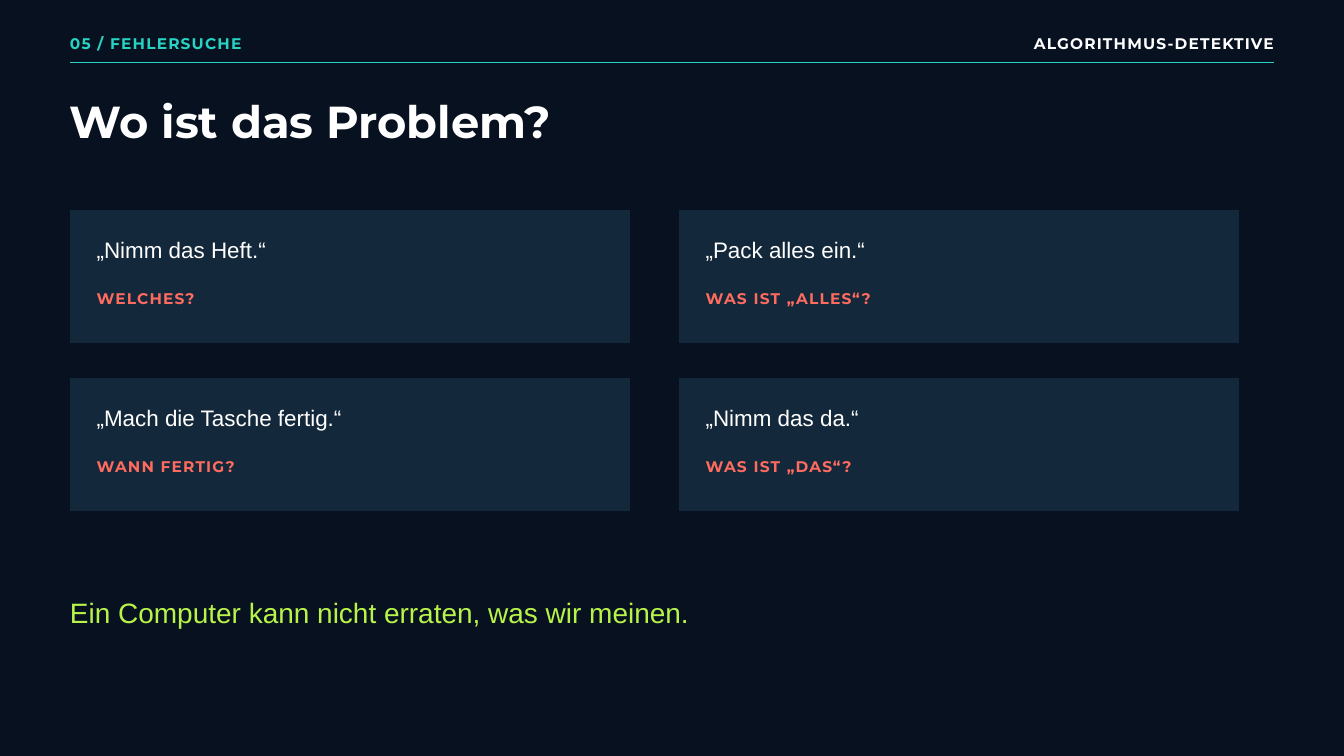
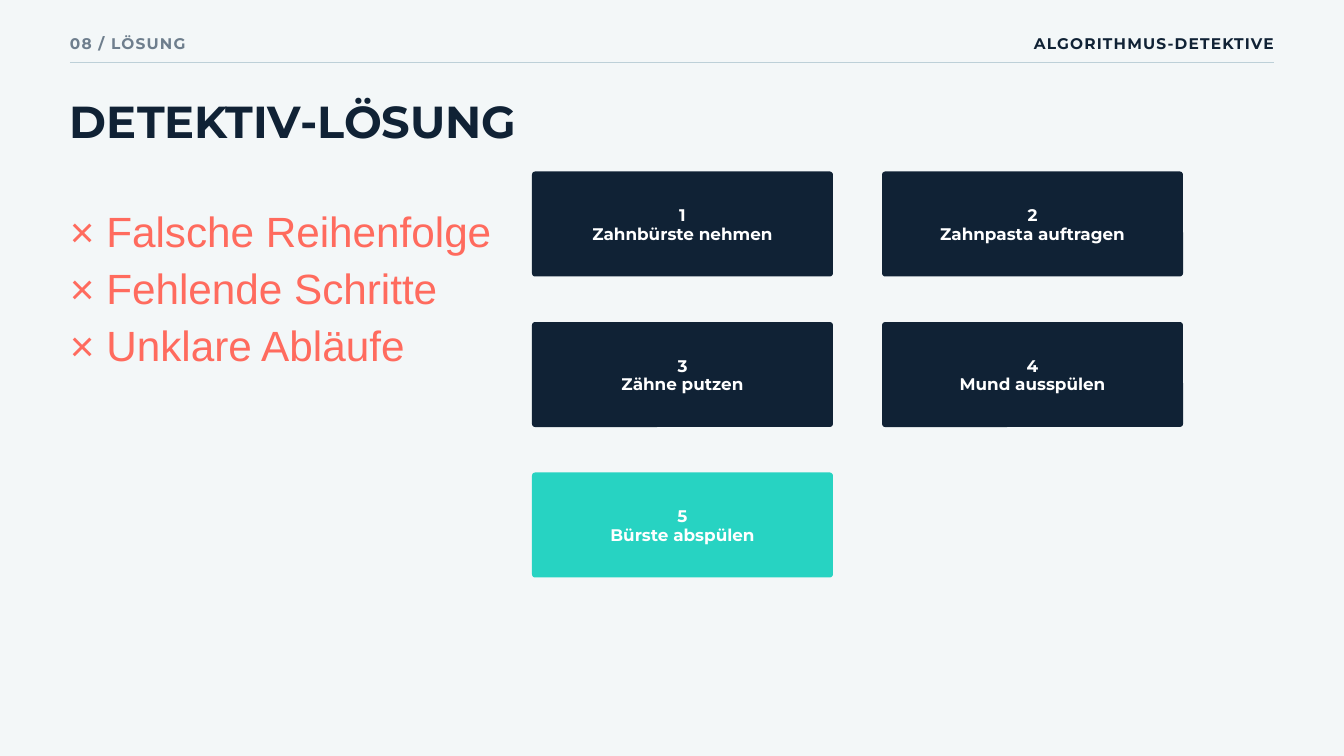
from lxml.etree import SubElement
from pptx import Presentation
from pptx.dml.color import RGBColor
from pptx.enum.shapes import MSO_CONNECTOR, MSO_SHAPE
from pptx.enum.text import MSO_ANCHOR, MSO_AUTO_SIZE, PP_ALIGN
from pptx.oxml.ns import qn
from pptx.util import Pt

NIGHT, MIST, NAVY, PANEL = "07111F", "F3F7F8", "102235", "13283A"
TEAL, CORAL, LIME, WHITE = "27D3C2", "FF6B5E", "B8F34A", "FFFFFF"
GREY, PALE = "6E7E8D", "BDD0D8"

# font, size, line height, bold, letter spacing (all in points)
TITLE = "Montserrat", 48, 49, True, 0
LABEL = "Montserrat", 16.5, 23.1, True, 1.3
STEP = "Montserrat", 18, 19.8, True, 0
QUOTE = "Arial", 24, 31.2, False, 0
CLAIM = "Arial", 30, 39, False, 0
ERROR = "Arial", 45.3, 61.2, False, 0


def px(*lengths):
    return [length * 9525 for length in lengths]


def paint(fill, color):
    fill.solid()
    fill.fore_color.rgb = RGBColor.from_string(color)


def write(frame, lines, style, color, align=PP_ALIGN.LEFT):
    """Fill a text frame with one paragraph per line, all in one style."""
    face, size, height, bold, space = style
    frame.word_wrap = True
    frame.text = "\n".join(lines)
    for para in frame.paragraphs:
        para.alignment = align
        para.line_spacing = Pt(height)
        font = para.font
        font.name, font.size, font.bold = face, Pt(size), bold
        font.color.rgb = RGBColor.from_string(color)
        if space:
            font._element.set("spc", str(round(space * 100)))


def add_text(slide, box, lines, style, color, align=PP_ALIGN.LEFT):
    frame = slide.shapes.add_textbox(*px(*box)).text_frame
    frame.margin_left = frame.margin_top = 0
    frame.margin_right = frame.margin_bottom = 0
    write(frame, lines, style, color, align)
    frame.auto_size = MSO_AUTO_SIZE.SHAPE_TO_FIT_TEXT


def add_block(slide, kind, box, color):
    shape = slide.shapes.add_shape(kind, *px(*box))
    shape.shadow.inherit = False
    paint(shape.fill, color)
    shape.line.fill.background()
    return shape


def add_rule(slide, left, top, width, color):
    right = left + width
    line = slide.shapes.add_connector(
        MSO_CONNECTOR.STRAIGHT, *px(left, top, right, top))
    paint(line.line.fill, color)
    line.line.width = Pt(1.5)
    SubElement(line._element.spPr, qn("a:effectLst"))


def add_head(slide, box, section, title, accent, ink, rule):
    left, top, width = box
    add_text(slide, (left, top, 300, 30), [section], LABEL, accent)
    add_text(slide, (left + width - 370, top, 370, 30),
             ["ALGORITHMUS-DETEKTIVE"], LABEL, ink, PP_ALIGN.RIGHT)
    add_rule(slide, left, top + 45, width, rule)
    add_text(slide, (left, top + 101, 1200, 66), [title], TITLE, ink)


def start(deck, back, *head):
    slide = deck.slides.add_slide(deck.slide_layouts[6])
    paint(slide.background.fill, back)
    add_head(slide, (100, 44, 1720), *head)
    return slide


def cells(box, pitch, items):
    """Yield the box of each item in a grid of two columns."""
    left, top, width, height = box
    for i, item in enumerate(items):
        row, col = divmod(i, 2)
        yield (left + col * pitch[0], top + row * pitch[1],
               width, height), item


def add_card(slide, box, quote, query):
    left, top, width, _ = box
    add_block(slide, MSO_SHAPE.RECTANGLE, box, PANEL)
    add_text(slide, (left + 38, top + 34, width - 90, 40),
             [quote], QUOTE, WHITE)
    add_text(slide, (left + 38, top + 109, width - 90, 29),
             [query], LABEL, CORAL)


def add_step(slide, box, number, action, color):
    step = add_block(slide, MSO_SHAPE.ROUNDED_RECTANGLE, box, color)
    step.adjustments[0] = 0.03
    frame = step.text_frame
    frame.margin_left, frame.margin_right = px(6, 6)
    frame.margin_top, frame.margin_bottom = px(9, 6)
    frame.vertical_anchor = MSO_ANCHOR.MIDDLE
    write(frame, [str(number), action], STEP, WHITE, PP_ALIGN.CENTER)


def problem(deck):
    slide = start(deck, NIGHT, "05 / FEHLERSUCHE", "Wo ist das Problem?",
                  TEAL, WHITE, TEAL)
    add_text(slide, (100, 847, 1500, 50),
             ["Ein Computer kann nicht erraten, was wir meinen."], CLAIM, LIME)
    cards = [
        ("„Nimm das Heft.“", "WELCHES?"),
        ("„Pack alles ein.“", "WAS IST „ALLES“?"),
        ("„Mach die Tasche fertig.“", "WANN FERTIG?"),
        ("„Nimm das da.“", "WAS IST „DAS“?"),
    ]
    for box, card in cells((100, 300, 800, 190), (870, 240), cards):
        add_card(slide, box, *card)


def answer(deck):
    slide = start(deck, MIST, "08 / LÖSUNG", "DETEKTIV-LÖSUNG",
                  GREY, NAVY, PALE)
    errors = ["× Falsche Reihenfolge", "× Fehlende Schritte",
              "× Unklare Abläufe"]
    add_text(slide, (100, 284, 1340, 236), errors, ERROR, CORAL)
    steps = ["Zahnbürste nehmen", "Zahnpasta auftragen", "Zähne putzen",
             "Mund ausspülen", "Bürste abspülen"]
    grid = cells((760, 245, 430, 150), (500, 215), steps)
    for number, (box, action) in enumerate(grid, 1):
        color = TEAL if number == len(steps) else NAVY
        add_step(slide, box, number, action, color)


def main():
    deck = Presentation()
    deck.slide_width, deck.slide_height = px(1920, 1080)
    problem(deck)
    answer(deck)
    deck.save("out.pptx")


if __name__ == "__main__":
    main()
